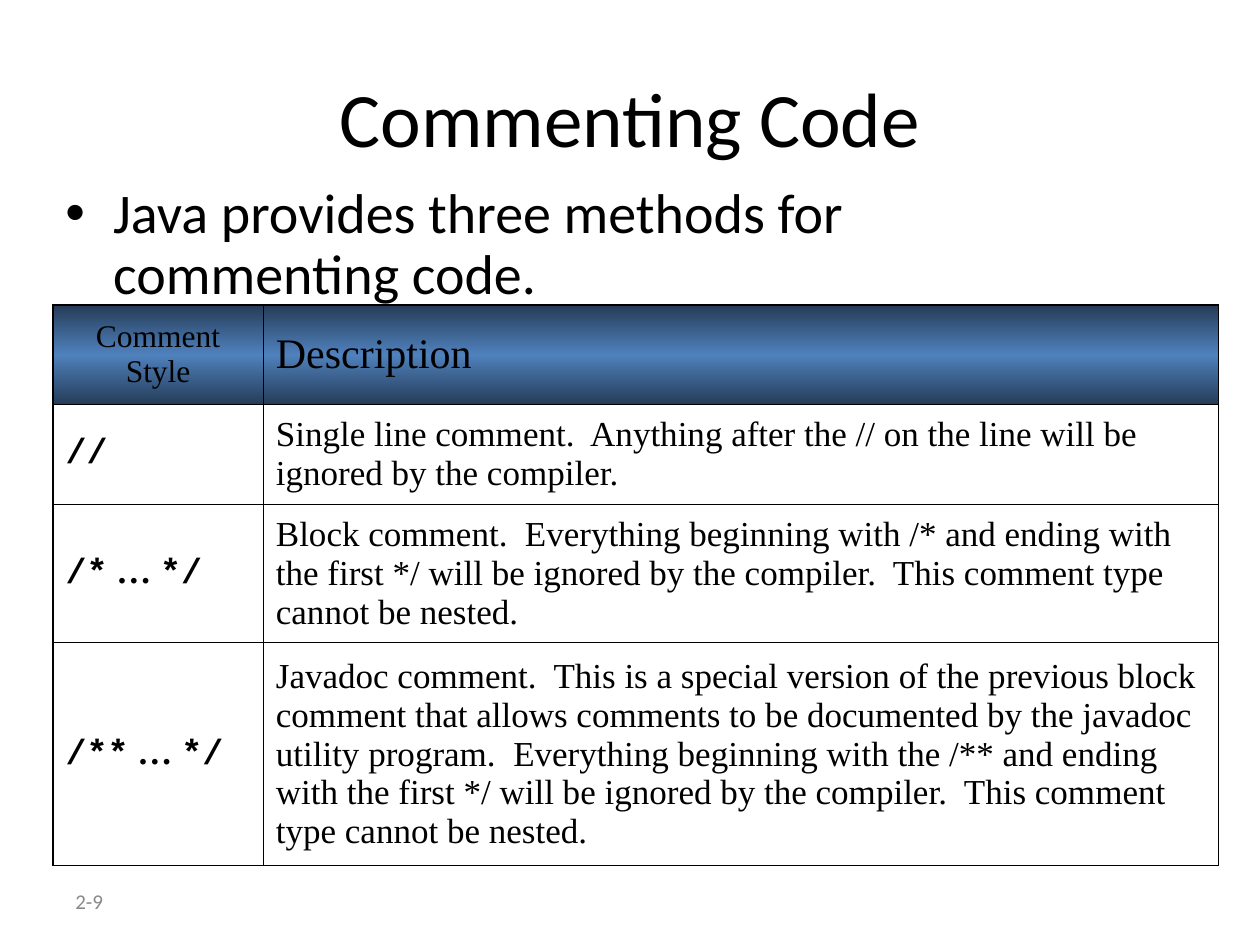
from lxml import etree
from pptx import Presentation
from pptx.dml.color import RGBColor
from pptx.enum.text import MSO_ANCHOR as Anchor, PP_ALIGN as Align
from pptx.oxml import parse_xml
from pptx.oxml.ns import nsdecls, qn
from pptx.util import Inches, Pt

BLACK = RGBColor(0x00, 0x00, 0x00)
GRAY = RGBColor(0x89, 0x89, 0x89)
NAVY = RGBColor(0x25, 0x3C, 0x57)
BLUE = RGBColor(0x4F, 0x81, 0xBD)
SANS, SERIF, MONO = "Calibri", "Times New Roman", "Courier New"
THIN, SIDE, TOP = 0.45, 1.08, 1.47


class SlideBuilder:
    def __init__(self, slide):
        self.slide = slide

    def add_spans(self, para, pieces, size, color=BLACK, bold=False):
        for text, font in pieces:
            for index, line in enumerate(text.split("\n")):
                if index:
                    para.add_line_break()
                span = para.add_run()
                span.text = line
                span.font.name = font
                span.font.size = Pt(size)
                span.font.bold = bold
                span.font.color.rgb = color

    def text(self, area, text, size, color=BLACK, align=Align.LEFT, anchor=Anchor.MIDDLE):
        box = self.slide.shapes.add_textbox(*map(Inches, area))
        frame = box.text_frame
        frame.word_wrap = True
        frame.vertical_anchor = anchor
        para = frame.paragraphs[0]
        para.alignment = align
        self.add_spans(para, [(text, SANS)], size, color)
        return para

    def bullet(self, area, text, size):
        para = self.text(area, text, size, anchor=Anchor.TOP)
        para.line_spacing = 0.9
        para.space_before = Pt(8)
        props = para._p.get_or_add_pPr()
        props.set("marL", str(Inches(0.38)))
        props.set("indent", str(-Inches(0.38)))
        etree.SubElement(props, qn("a:buFont")).set("typeface", "Arial")
        etree.SubElement(props, qn("a:buChar")).set("char", "•")

    def border(self, cell, side, width):
        cell._tc.get_or_add_tcPr().append(parse_xml(
            f'<a:ln{side} {nsdecls("a")} w="{Pt(width)}"><a:solidFill>'
            f'<a:srgbClr val="{BLACK}"/></a:solidFill></a:ln{side}>'))

    def gradient(self, cell):
        stops = "".join(
            f'<a:gs pos="{place}"><a:srgbClr val="{color}"/></a:gs>'
            for place, color in ((0, NAVY), (50000, BLUE), (100000, NAVY)))
        cell._tc.get_or_add_tcPr().append(parse_xml(
            f'<a:gradFill {nsdecls("a")} rotWithShape="0"><a:gsLst>{stops}</a:gsLst>'
            '<a:lin ang="5400000" scaled="1"/></a:gradFill>'))

    def table(self, area, widths, heights, rows):
        frame = self.slide.shapes.add_table(len(rows), len(widths), *map(Inches, area))
        table = frame.table
        for column, width in zip(table.columns, widths):
            column.width = Inches(width)
        for row, height in zip(table.rows, heights):
            row.height = Inches(height)
        last_row, last_column = len(rows) - 1, len(widths) - 1
        for r, row in enumerate(rows):
            for c, (pieces, size, bold, align) in enumerate(row):
                cell = table.cell(r, c)
                cell.vertical_anchor = Anchor.MIDDLE
                para = cell.text_frame.paragraphs[0]
                para.alignment = align
                self.add_spans(para, pieces, size, bold=bold)
                self.border(cell, "L", THIN if c else SIDE)
                self.border(cell, "R", SIDE if c == last_column else THIN)
                self.border(cell, "T", THIN if r else TOP)
                self.border(cell, "B", SIDE if r == last_row else THIN)
                if r:
                    cell.fill.background()
                else:
                    self.gradient(cell)


def comment_row(opening, closing, description):
    style = [(opening, MONO)]
    if closing:
        style += [(" … ", SERIF), (closing, MONO)]
    return [(style, 20, True, Align.LEFT),
            ([(description, SERIF)], 20, False, Align.LEFT)]


deck = Presentation()
deck.slide_width, deck.slide_height = Inches(10), Inches(7.5)
page = SlideBuilder(deck.slides.add_slide(deck.slide_layouts[6]))

page.text((0.5, 6.95, 2.33, 0.4), "2-9", 12, GRAY)
page.text((0.5, 0.3, 9, 1.25), "Commenting Code", 44, align=Align.CENTER)
page.bullet((0.42, 1.42, 8.5, 1.08),
            "Java provides three methods for commenting code.", 32)

comment_rows = [
    [([("Comment\nStyle", SERIF)], 18, False, Align.CENTER),
     ([("Description", SERIF)], 24, False, Align.LEFT)],
    comment_row("//", "", "Single line comment.  Anything after the // on the line "
                "will be ignored by the compiler."),
    comment_row("/*", "*/", "Block comment.  Everything beginning with /* and ending "
                "with the first */ will be ignored by the compiler.  This comment "
                "type cannot be nested."),
    comment_row("/**", "*/", "Javadoc comment.  This is a special version of the "
                "previous block comment that allows comments to be documented by the "
                "javadoc utility program.  Everything beginning with the /** and "
                "ending with the first */ will be ignored by the compiler.  This "
                "comment type cannot be nested."),
]
page.table((0.42, 2.42, 9.25, 4.45), (1.67, 7.58), (0.79, 0.79, 1.1, 1.77), comment_rows)

deck.save("out.pptx")
